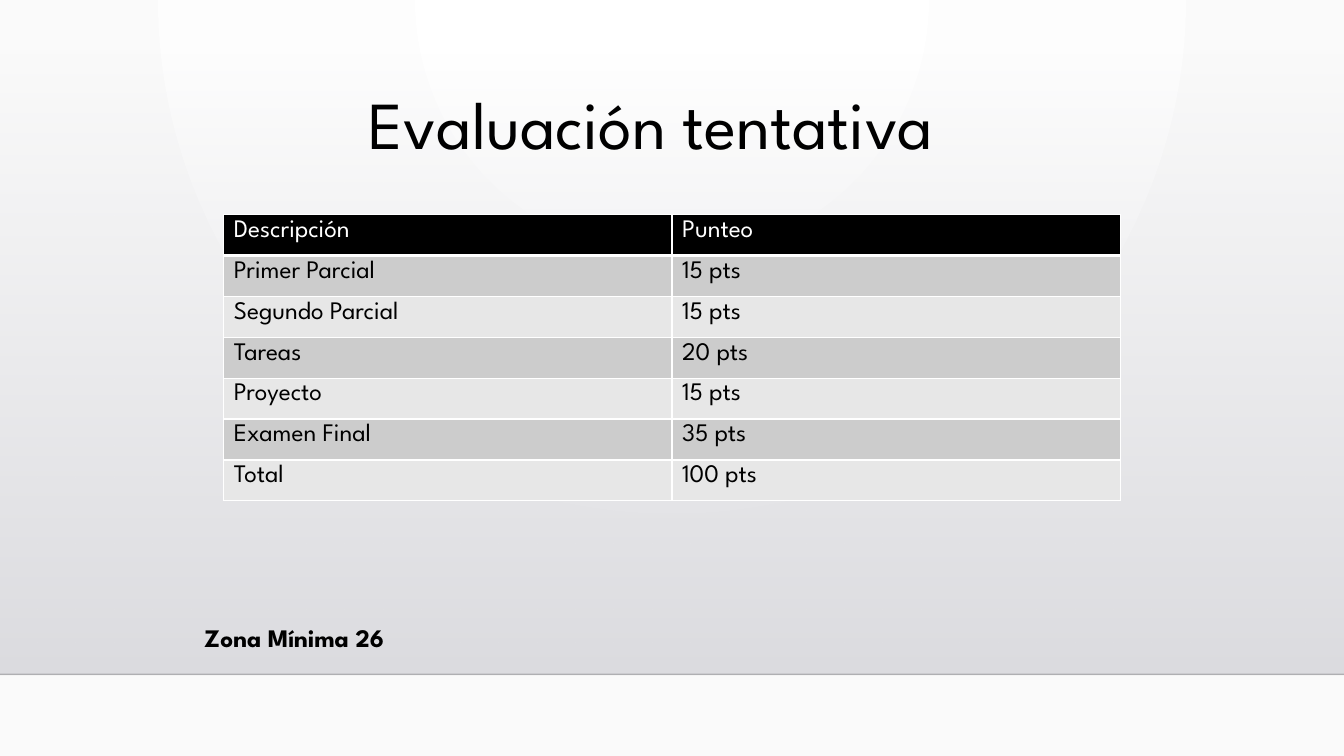
from dataclasses import dataclass

from lxml.etree import SubElement
from pptx import Presentation
from pptx.dml.color import RGBColor
from pptx.enum.shapes import MSO_CONNECTOR, MSO_SHAPE
from pptx.enum.text import MSO_ANCHOR, PP_ALIGN
from pptx.oxml.ns import qn
from pptx.util import Inches, Pt


@dataclass(frozen=True)
class Theme:
    font: str = "League Spartan"
    title: int = 48
    body: int = 18
    black: str = "000000"
    white: str = "FFFFFF"
    edge: str = "FAFAFA"
    fade: tuple = ("DCDCE0", "DEDEE2")
    rule: str = "000001"
    bands: tuple = ("CCCCCC", "E7E7E7")


@dataclass(frozen=True)
class Label:
    text: str
    box: tuple
    size: int
    bold: bool = False
    align: PP_ALIGN = PP_ALIGN.LEFT
    anchor: MSO_ANCHOR = MSO_ANCHOR.TOP
    spacing: float = 1.0
    bottom: float = 0.05


@dataclass(frozen=True)
class Score:
    item: str
    points: str


THEME = Theme()
WIDTH, HEIGHT = 13.33, 7.5
FLOOR = 6.69
LABELS = (
    Label("Evaluación tentativa", (2.43, 0.71, 8.06, 0.92), THEME.title,
          align=PP_ALIGN.CENTER, anchor=MSO_ANCHOR.BOTTOM, spacing=0.9, bottom=0),
    Label("Zona Mínima 26", (1.93, 6.12, 2.37, 0.4), THEME.body, bold=True),
)
SCORES = (
    Score("Descripción", "Punteo"),
    Score("Primer Parcial", "15 pts"),
    Score("Segundo Parcial", "15 pts"),
    Score("Tareas", "20 pts"),
    Score("Proyecto", "15 pts"),
    Score("Examen Final", "35 pts"),
    Score("Total", "100 pts"),
)


def rgb(code: str) -> RGBColor:
    return RGBColor.from_string(code)


def add_run(para, text: str, size: int, color: str, bold: bool = False) -> None:
    run = para.add_run()
    run.text = text
    run.font.name = THEME.font
    run.font.size = Pt(size)
    run.font.bold = bold
    run.font.color.rgb = rgb(color)


def set_alpha(color, percent: int) -> None:
    SubElement(color, qn("a:alpha"), val=str(percent * 1000))


def set_stops(fill, colors: tuple) -> None:
    fill.gradient()
    for stop, color in zip(fill.gradient_stops, colors):
        stop.color.rgb = rgb(color)


def draw_backdrop(slide) -> None:
    # Round glow from the top centre
    set_stops(slide.background.fill, (THEME.white, THEME.edge))
    glow = slide.element.find(".//" + qn("a:gradFill"))
    glow.remove(glow.find(qn("a:lin")))
    ring = SubElement(glow, qn("a:path"), {"path": "circle"})
    SubElement(ring, qn("a:fillToRect"), l="43000", t="0", r="43000", b="100000")

    # Grey fade down to the floor
    top = 0.51
    fade = slide.shapes.add_shape(MSO_SHAPE.RECTANGLE, Inches(0), Inches(top),
                                  Inches(WIDTH), Inches(FLOOR - top))
    fade.shadow.inherit = False
    fade.line.fill.background()
    set_stops(fade.fill, THEME.fade)
    grad = fade.element.spPr.find(qn("a:gradFill"))
    for color, alpha in zip(grad.iter(qn("a:srgbClr")), (0, 100)):
        set_alpha(color, alpha)
    grad.find(qn("a:lin")).set("ang", str(90 * 60000))

    # Floor line
    rule = slide.shapes.add_connector(MSO_CONNECTOR.STRAIGHT, Inches(0), Inches(FLOOR),
                                      Inches(WIDTH), Inches(FLOOR))
    rule.line.width = Pt(1)
    rule.line.color.rgb = rgb(THEME.rule)
    props = rule.element.spPr
    set_alpha(props.find(".//" + qn("a:srgbClr")), 20)
    SubElement(props, qn("a:effectLst"))


def draw_label(slide, label: Label) -> None:
    frame = slide.shapes.add_textbox(*map(Inches, label.box)).text_frame
    frame.word_wrap = True
    frame.vertical_anchor = label.anchor
    frame.margin_bottom = Inches(label.bottom)
    para = frame.paragraphs[0]
    para.alignment = label.align
    para.line_spacing = label.spacing
    add_run(para, label.text, label.size, THEME.black, label.bold)


def set_borders(cell, base: int) -> None:
    props = cell._tc.get_or_add_tcPr()
    for side, width in (("L", 1), ("R", 1), ("T", 1), ("B", base)):
        line = SubElement(props, qn("a:ln" + side), w=str(Pt(width)))
        fill = SubElement(line, qn("a:solidFill"))
        SubElement(fill, qn("a:srgbClr"), val=THEME.white)


def draw_scores(slide, scores: tuple) -> None:
    table = slide.shapes.add_table(len(scores), 2, Inches(2.22), Inches(2.13),
                                   Inches(8.89), Inches(2.84)).table
    table.first_row = False
    table.horz_banding = False
    for row, score in enumerate(scores):
        head = row == 0
        back = THEME.black if head else THEME.bands[(row - 1) % 2]
        ink = THEME.white if head else THEME.black
        for col, text in enumerate((score.item, score.points)):
            cell = table.cell(row, col)
            set_borders(cell, 3 if head else 1)
            cell.fill.solid()
            cell.fill.fore_color.rgb = rgb(back)
            add_run(cell.text_frame.paragraphs[0], text, THEME.body, ink)


def main() -> None:
    deck = Presentation()
    deck.slide_width, deck.slide_height = Inches(WIDTH), Inches(HEIGHT)
    slide = deck.slides.add_slide(deck.slide_layouts[6])
    draw_backdrop(slide)
    title, note = LABELS
    draw_label(slide, title)
    draw_scores(slide, SCORES)
    draw_label(slide, note)
    deck.save("out.pptx")


if __name__ == "__main__":
    main()
